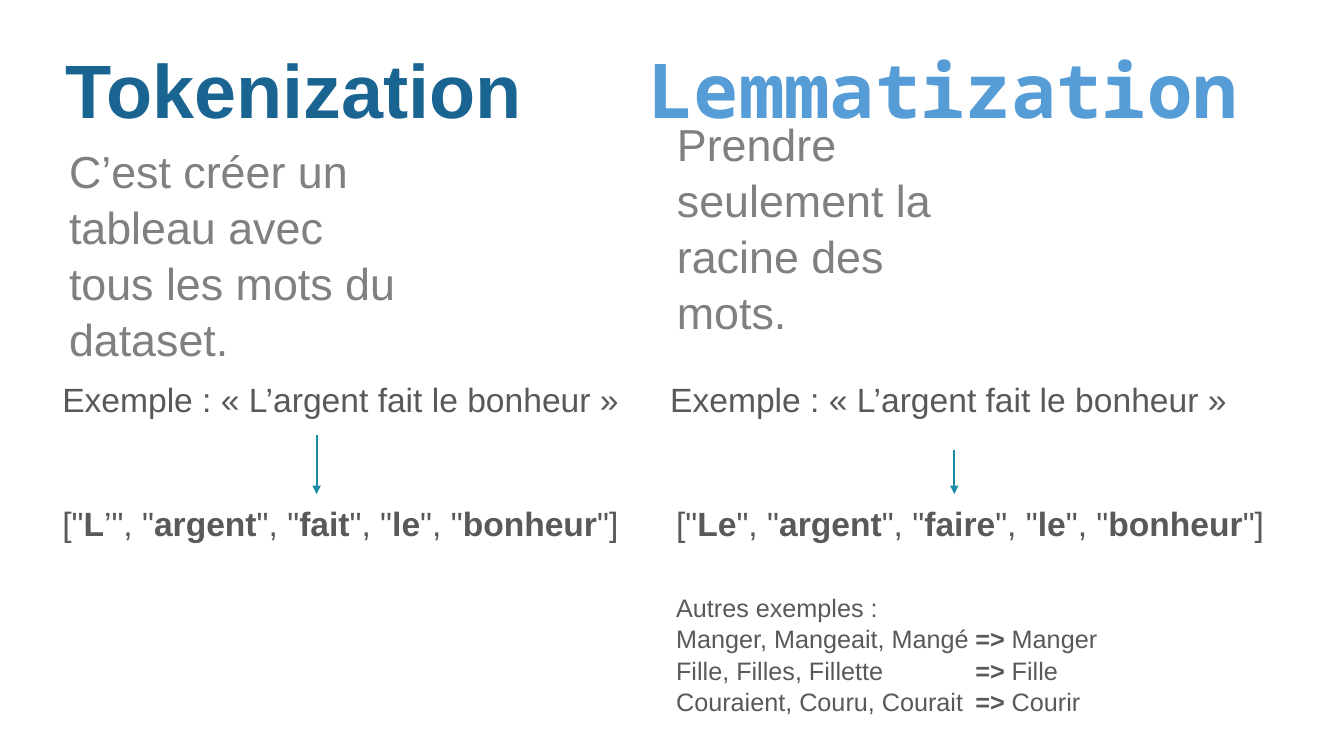
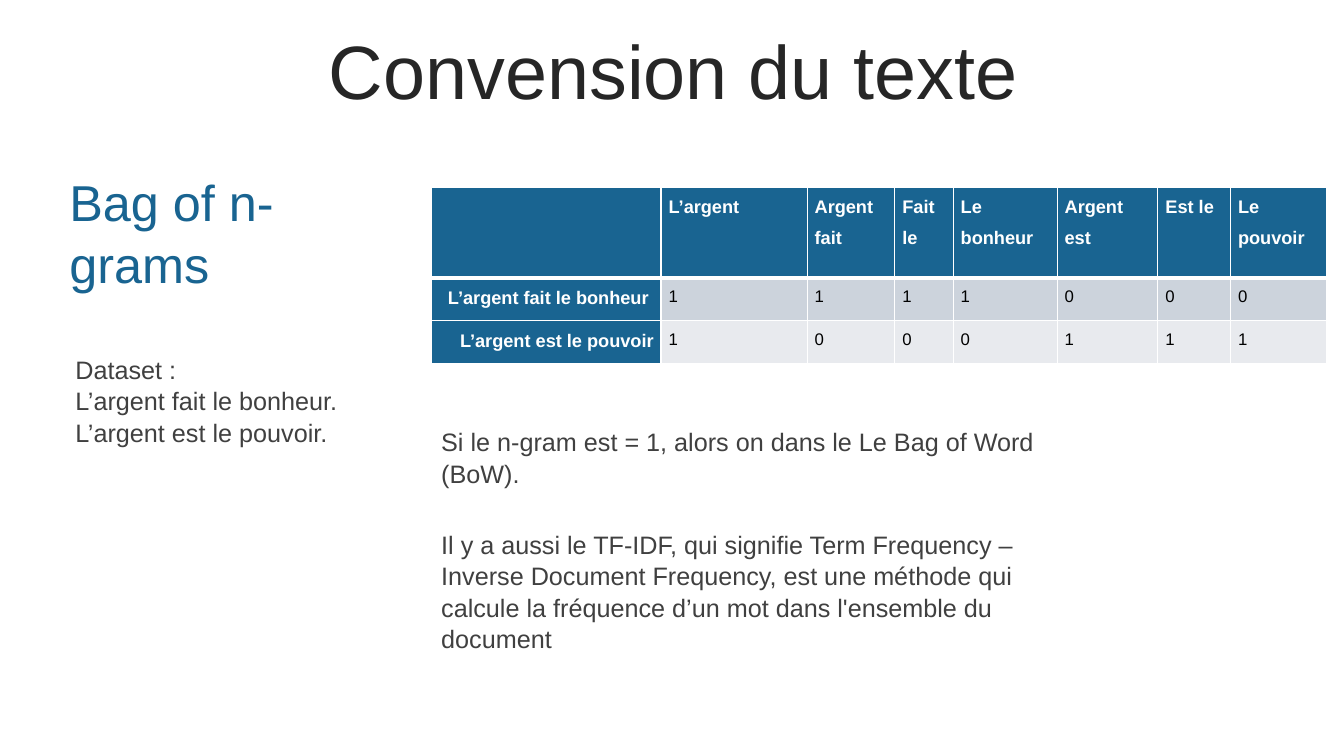
from dataclasses import dataclass

from lxml import etree
from pptx import Presentation
from pptx.dml.color import RGBColor
from pptx.enum.shapes import MSO_CONNECTOR
from pptx.enum.text import MSO_ANCHOR, MSO_AUTO_SIZE, PP_ALIGN
from pptx.oxml.ns import qn
from pptx.util import Cm, Pt

NAVY = RGBColor(0x19, 0x64, 0x91)
SKY = RGBColor(0x56, 0x9C, 0xD6)
TEAL = RGBColor(0x1A, 0x8E, 0xA9)
INK = RGBColor(0x26, 0x26, 0x26)
CHARCOAL = RGBColor(0x40, 0x40, 0x40)
SLATE = RGBColor(0x59, 0x59, 0x59)
GRAY = RGBColor(0x80, 0x80, 0x80)
BLACK = RGBColor(0x00, 0x00, 0x00)
WHITE = RGBColor(0xFF, 0xFF, 0xFF)
BAND_FILLS = [RGBColor(0xCC, 0xD3, 0xDC), RGBColor(0xE8, 0xEA, 0xEE)]

STRAIGHT = MSO_CONNECTOR.STRAIGHT
TOP, MIDDLE = MSO_ANCHOR.TOP, MSO_ANCHOR.MIDDLE
NO_AUTOFIT = MSO_AUTO_SIZE.NONE
LEFT, CENTER, RIGHT, JUSTIFY = PP_ALIGN.LEFT, PP_ALIGN.CENTER, PP_ALIGN.RIGHT, PP_ALIGN.JUSTIFY

SANS = "Arial"
MONO = "Noto Sans Mono"
TITLE_ONLY = 5
BODY_SPACING = 1.04
TABLE_SPACING = 1.5
TIGHT = (0.1, 0)
NORMAL = (0.25, 0.13)

EXAMPLE = "Exemple : « L’argent fait le bonheur »"
OTHER_EXAMPLES = [
    "Autres exemples :",
    "Manger, Mangeait, Mangé\t*=>* Manger",
    "Fille, Filles, Fillette\t*=>* Fille",
    "Couraient, Couru, Courait\t*=>* Courir",
]
NGRAMS = ["", "L’argent", "Argent fait", "Fait le", "Le bonheur", "Argent est", "Est le", "Le pouvoir"]
SENTENCES = [
    ["L’argent fait le bonheur ", 1, 1, 1, 1, 0, 0, 0],
    ["L’argent est le pouvoir", 1, 0, 0, 0, 1, 1, 1],
]
COLUMN_WIDTHS = [5.79, 3.68, 2.21, 1.47, 2.62, 2.54, 1.83, 2.41]
ROW_HEIGHTS = [2.29, 1.07, 1.07]


@dataclass
class Technique:
    summary: str
    tokens: str
    summary_top: float
    token_indent: float
    arrow_indent: float
    arrow_top: float


TOKENIZATION = Technique(
    "C’est créer un tableau avec tous les mots du dataset.",
    '["*L*’", "*argent*", "*fait*", "*le*", "*bonheur*"]',
    3.66, 0, 6.51, 10.95,
)
LEMMATIZATION = Technique(
    "Prendre seulement la racine des mots.",
    '["*Le*", "*argent*", "*faire*", "*le*", "*bonheur*"]',
    2.98, 0.15, 7.26, 11.33,
)


def style_span(span, size, color, bold=False, name=SANS):
    span.font.size = Pt(size)
    span.font.name = name
    span.font.bold = bold
    span.font.color.rgb = color


def add_tab_stop(paragraph, position):
    tabs = etree.SubElement(paragraph._p.get_or_add_pPr(), qn("a:tabLst"))
    etree.SubElement(tabs, qn("a:tab"), pos=str(Cm(position)), algn="l")


def write_marked(paragraph, text, size, color):
    for index, part in enumerate(text.split("*")):
        if part:
            span = paragraph.add_run()
            span.text = part
            style_span(span, size, color, bold=index % 2 == 1)


def add_text(page, box, lines, size, color, insets=TIGHT, anchor=MIDDLE, tab=None):
    shape = page.shapes.add_textbox(*map(Cm, box))
    frame = shape.text_frame
    frame.word_wrap = True
    frame.auto_size = NO_AUTOFIT
    frame.vertical_anchor = anchor
    frame.margin_left = frame.margin_right = Cm(insets[0])
    frame.margin_top = frame.margin_bottom = Cm(insets[1])
    for index, line in enumerate(lines):
        paragraph = frame.add_paragraph() if index else frame.paragraphs[0]
        paragraph.alignment = LEFT
        paragraph.line_spacing = BODY_SPACING
        if tab and "\t" in line:
            add_tab_stop(paragraph, tab)
        write_marked(paragraph, line, size, color)


def format_heading(shape, box, text, color, bold=False, name=SANS):
    shape.left, shape.top, shape.width, shape.height = map(Cm, box)
    frame = shape.text_frame
    frame.text = text
    frame.word_wrap = True
    frame.auto_size = NO_AUTOFIT
    frame.vertical_anchor = MIDDLE
    paragraph = frame.paragraphs[0]
    paragraph.alignment = CENTER
    paragraph.line_spacing = 0.9
    style_span(paragraph.runs[0], 54, color, bold, name)


def add_down_arrow(page, x, top, bottom):
    arrow = page.shapes.add_connector(STRAIGHT, Cm(x), Cm(top), Cm(x), Cm(bottom))
    arrow.line.color.rgb = TEAL
    arrow.line.width = Pt(1.5)
    etree.SubElement(arrow.line._get_or_add_ln(), qn("a:tailEnd"), type="triangle")
    etree.SubElement(arrow._element.spPr, qn("a:effectLst"))


def draw_technique(page, left, width, technique):
    token_left = left + technique.token_indent
    add_text(page, (left + 0.17, technique.summary_top, 8.48, 5.46), [technique.summary], 32, GRAY)
    add_text(page, (left, 9.53, width, 1.02), [EXAMPLE], 24, SLATE)
    add_down_arrow(page, left + technique.arrow_indent, technique.arrow_top, 12.45)
    add_text(page, (token_left, 12.65, width, 1.02), [technique.tokens], 24, SLATE)


def set_borders(cell, top, bottom):
    properties = cell._tc.get_or_add_tcPr()
    sides = [("a:lnL", 1), ("a:lnR", 1), ("a:lnT", top), ("a:lnB", bottom)]
    for index, (tag, width) in enumerate(sides):
        border = etree.Element(qn(tag), w=str(Pt(width)))
        fill = etree.SubElement(border, qn("a:solidFill"))
        etree.SubElement(fill, qn("a:srgbClr"), val=str(WHITE))
        properties.insert(index, border)


def format_cell(cell, value, row, column):
    is_label = row == 0 or column == 0
    cell.margin_left = cell.margin_right = Cm(0.19)
    cell.margin_top = cell.margin_bottom = 0
    cell.vertical_anchor = TOP
    cell.fill.solid()
    cell.fill.fore_color.rgb = NAVY if is_label else BAND_FILLS[row - 1]
    set_borders(cell, top=3 if row == 1 else 1, bottom=3 if row == 0 else 1)
    cell.text_frame.text = str(value)
    paragraph = cell.text_frame.paragraphs[0]
    paragraph.alignment = RIGHT if column == 0 else JUSTIFY
    paragraph.line_spacing = TABLE_SPACING
    for span in paragraph.runs:
        style_span(span, 13 if is_label else 12, WHITE if is_label else BLACK, bold=is_label)


def draw_ngram_table(page, left, top):
    rows = [NGRAMS] + SENTENCES
    frame = page.shapes.add_table(
        len(rows), len(NGRAMS), Cm(left), Cm(top), Cm(sum(COLUMN_WIDTHS)), Cm(sum(ROW_HEIGHTS))
    )
    table = frame.table
    table.horz_banding = False
    for column, width in zip(table.columns, COLUMN_WIDTHS):
        column.width = Cm(width)
    for row, height in zip(table.rows, ROW_HEIGHTS):
        row.height = Cm(height)
    for row, values in enumerate(rows):
        for column, value in enumerate(values):
            format_cell(table.cell(row, column), value, row, column)


def add_page(deck):
    return deck.slides.add_slide(deck.slide_layouts[TITLE_ONLY])


def build_techniques(deck):
    page = add_page(deck)
    format_heading(page.shapes.title, (1.17, 1.37, 12.47, 2.01), "Tokenization", NAVY, bold=True)
    draw_technique(page, 1.47, 15, TOKENIZATION)
    box = (15.11, 1.37, 17.32, 2.01)
    heading = page.shapes.add_textbox(*map(Cm, box))
    format_heading(heading, box, "Lemmatization", SKY, bold=True, name=MONO)
    draw_technique(page, 16.79, 16.5, LEMMATIZATION)
    add_text(page, (16.94, 14.94, 16.5, 3.07), OTHER_EXAMPLES, 18, SLATE, tab=7.54)


def build_ngrams(deck):
    page = add_page(deck)
    format_heading(page.shapes.title, (0.89, 0.89, 32.16, 2.01), "Convension du texte", INK)
    add_text(page, (1.65, 4.29, 8.48, 3.07), ["Bag of n-grams"], 36, NAVY)
    dataset = ["Dataset :", "L’argent fait le bonheur.", "L’argent est le pouvoir."]
    add_text(page, (1.65, 8.76, 9.22, 2.57), dataset, 18, CHARCOAL, NORMAL, TOP)
    draw_ngram_table(page, 10.87, 4.72)
    notes = [
        (10.59, 17.09, 1.8, "Si le n-gram est = 1, alors on dans le Le Bag of Word (BoW)."),
        (13.18, 15.82, 3.33, "Il y a aussi le TF-IDF, qui signifie Term Frequency – Inverse Document "
         "Frequency, est une méthode qui calcule la fréquence d’un mot dans l'ensemble du document"),
    ]
    for top, width, height, text in notes:
        add_text(page, (10.87, top, width, height), [text], 18, CHARCOAL, NORMAL, TOP)


def main():
    deck = Presentation()
    deck.slide_width, deck.slide_height = Cm(33.87), Cm(19.05)
    build_techniques(deck)
    build_ngrams(deck)
    deck.save("out.pptx")


if __name__ == "__main__":
    main()
